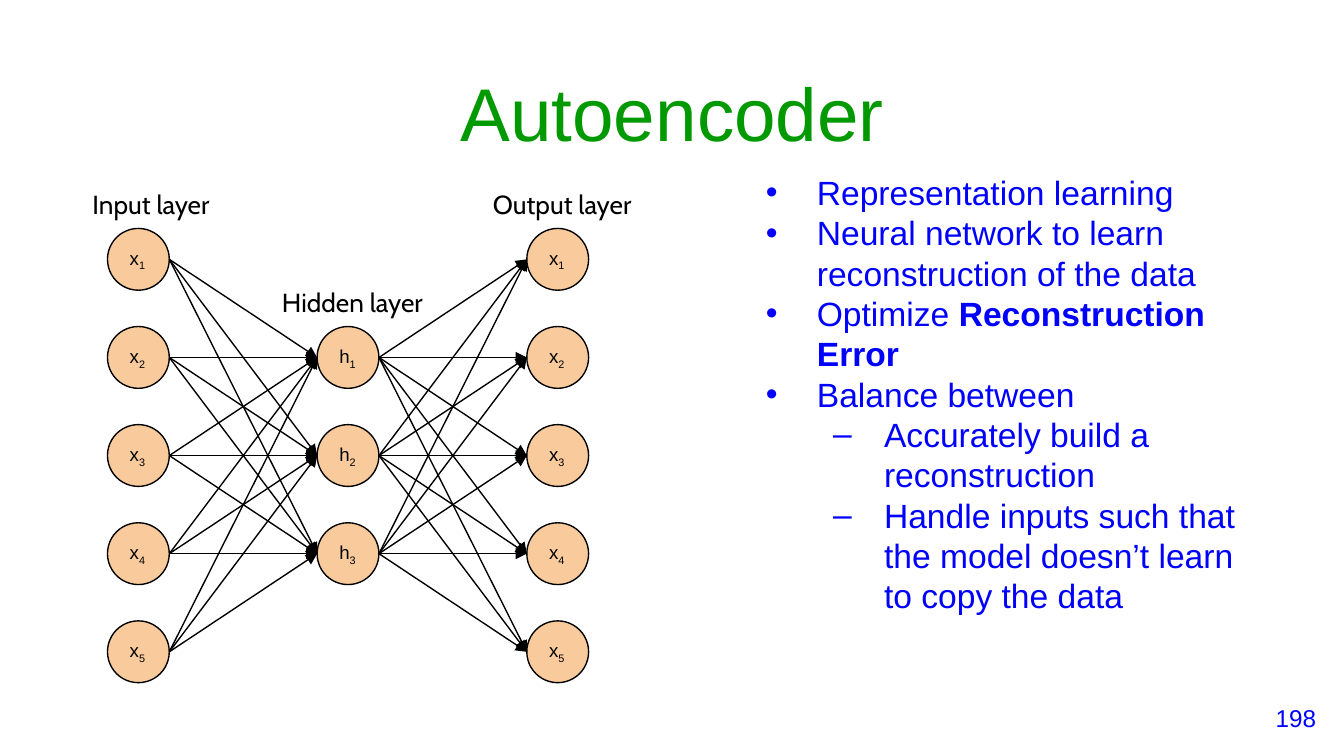
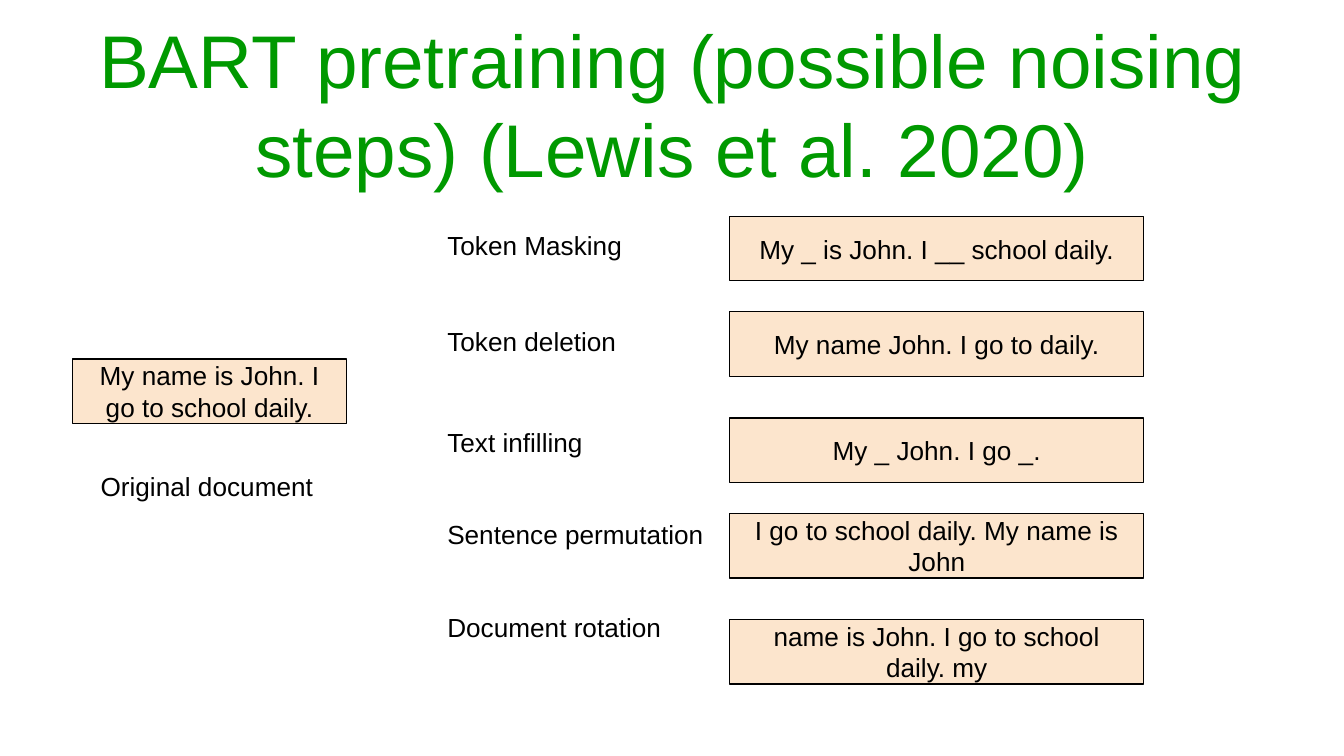
"""Build two slides on the autoencoder and on BART noising steps."""
from dataclasses import dataclass
from itertools import product

from lxml import etree
from pptx import Presentation
from pptx.dml.color import RGBColor
from pptx.enum.shapes import MSO_CONNECTOR, MSO_SHAPE
from pptx.enum.text import MSO_ANCHOR, PP_ALIGN
from pptx.oxml.ns import qn
from pptx.util import Inches, Pt

GREEN = RGBColor(0x00, 0x99, 0x00)
BLUE = RGBColor(0x00, 0x00, 0xFF)
BLACK = RGBColor(0x00, 0x00, 0x00)
WHITE = RGBColor(0xFF, 0xFF, 0xFF)
NODE_FILL = RGBColor(0xF9, 0xCB, 0x9C)
BOX_FILL = RGBColor(0xFC, 0xE5, 0xCD)

LEFT, CENTER, RIGHT = PP_ALIGN.LEFT, PP_ALIGN.CENTER, PP_ALIGN.RIGHT
TOP, MIDDLE = MSO_ANCHOR.TOP, MSO_ANCHOR.MIDDLE
OVAL, RECTANGLE = MSO_SHAPE.OVAL, MSO_SHAPE.RECTANGLE
STRAIGHT = MSO_CONNECTOR.STRAIGHT

SLIDE_WIDTH = Inches(10)
SLIDE_HEIGHT = SLIDE_WIDTH * 9 // 16
MARGIN = 0.1
LINE_WIDTH = Pt(0.75)
NODE_SIZE = 0.46
NODE_PITCH = 0.73
FIRST_NODE_TOP = 1.7
BOX_LEFT, BOX_WIDTH, BOX_HEIGHT = 5.43, 3.08, 0.48
LABEL_LEFT, LABEL_HEIGHT = 3.23, 0.4


@dataclass(frozen=True)
class Style:
    """Look of a text."""

    size: float
    color: RGBColor = BLACK
    font: str = "Arial"
    align: PP_ALIGN = LEFT


@dataclass(frozen=True)
class Area:
    """Place of an element in inches."""

    left: float
    top: float
    width: float
    height: float

    def lengths(self):
        """Return left, top, width and height as lengths."""
        return tuple(Inches(v) for v in (self.left, self.top, self.width, self.height))


@dataclass(frozen=True)
class Layer:
    """Column of network nodes."""

    letter: str
    left: float
    first_row: int
    count: int
    caption: str
    caption_area: Area

    def node_top(self, index: int) -> float:
        """Return the top of a node."""
        return FIRST_NODE_TOP + (self.first_row + index) * NODE_PITCH


@dataclass(frozen=True)
class Bullet:
    """Item of the bullet list."""

    text: str
    bold_text: str = ""
    level: int = 0


@dataclass(frozen=True)
class NoisingStep:
    """Name of a noising step and its result."""

    name: str
    result: str
    label_top: float
    box_top: float
    label_width: float = 2.13


TITLE = Style(40, GREEN, align=CENTER)
BODY = Style(18, BLUE)
NODE = Style(10)
CAPTION = Style(14, font="Cabin")
LABEL = Style(14)
BOX = Style(14, align=CENTER)
PAGE_NUMBER = Style(13, BLUE, align=RIGHT)

LAYERS = (
    Layer("x", 0.8, 0, 5, "Input layer", Area(0.59, 1.3, 1.1, 0.32)),
    Layer("h", 2.36, 1, 3, "Hidden layer", Area(2, 2.03, 1.3, 0.32)),
    Layer("x", 3.92, 0, 5, "Output layer", Area(3.57, 1.3, 1.3, 0.32)),
)
BULLETS = (
    Bullet("Representation learning"),
    Bullet("Neural network to learn reconstruction of the data"),
    Bullet("Optimize ", "Reconstruction Error"),
    Bullet("Balance between"),
    Bullet("Accurately build a reconstruction", level=1),
    Bullet("Handle inputs such that the model doesn’t learn to copy the data", level=1),
)
STEPS = (
    NoisingStep("Token Masking", "My _ is John. I __ school daily.", 1.61, 1.61, 1.66),
    NoisingStep("Token deletion", "My name John. I go to daily.", 2.32, 2.32),
    NoisingStep("Text infilling", "My _ John. I go _.", 3.07, 3.11),
    NoisingStep("Sentence permutation", "I go to school daily. My name is John", 3.76, 3.82),
    NoisingStep("Document rotation", "name is John. I go to school daily. my", 4.45, 4.61),
)


def add_slide(presentation):
    """Add a blank white slide."""
    slide = presentation.slides.add_slide(presentation.slide_layouts[6])
    slide.background.fill.solid()
    slide.background.fill.fore_color.rgb = WHITE
    return slide


def add_run(paragraph, text: str, style: Style):
    """Add a styled run."""
    run = paragraph.add_run()
    run.text = text
    run.font.name = style.font
    run.font.size = Pt(style.size)
    run.font.color.rgb = style.color
    return run


def prepare_frame(shape, anchor: MSO_ANCHOR, vertical_margin: float = MARGIN):
    """Set margins, wrapping and anchor of a text frame."""
    frame = shape.text_frame
    frame.word_wrap = True
    frame.vertical_anchor = anchor
    frame.margin_left = frame.margin_right = Inches(MARGIN)
    frame.margin_top = frame.margin_bottom = Inches(vertical_margin)
    return frame


def add_text(slide, area: Area, text: str, style: Style, anchor: MSO_ANCHOR = TOP,
             vertical_margin: float = MARGIN) -> None:
    """Add a text box with one paragraph."""
    textbox = slide.shapes.add_textbox(*area.lengths())
    paragraph = prepare_frame(textbox, anchor, vertical_margin).paragraphs[0]
    paragraph.alignment = style.align
    add_run(paragraph, text, style)


def add_filled_shape(slide, kind: MSO_SHAPE, area: Area, color: RGBColor, text: str, style: Style):
    """Add an outlined shape with text and return its text frame."""
    shape = slide.shapes.add_shape(kind, *area.lengths())
    shape.shadow.inherit = False
    shape.fill.solid()
    shape.fill.fore_color.rgb = color
    shape.line.color.rgb = BLACK
    shape.line.width = LINE_WIDTH
    frame = prepare_frame(shape, MIDDLE)
    frame.paragraphs[0].alignment = style.align
    add_run(frame.paragraphs[0], text, style)
    return frame


def add_node(slide, layer: Layer, index: int) -> None:
    """Add a network node with its subscript."""
    area = Area(layer.left, layer.node_top(index), NODE_SIZE, NODE_SIZE)
    frame = add_filled_shape(slide, OVAL, area, NODE_FILL, layer.letter, NODE)
    frame.word_wrap = False
    subscript = add_run(frame.paragraphs[0], str(index + 1), NODE)
    subscript.font._element.set("baseline", "-25000")


def add_arrow(slide, source: Layer, source_index: int, target: Layer, target_index: int) -> None:
    """Add an arrow between nodes of adjacent layers."""
    radius = NODE_SIZE / 2
    connector = slide.shapes.add_connector(
        STRAIGHT,
        Inches(source.left + NODE_SIZE), Inches(source.node_top(source_index) + radius),
        Inches(target.left), Inches(target.node_top(target_index) + radius),
    )
    connector.line.color.rgb = BLACK
    connector.line.width = LINE_WIDTH
    etree.SubElement(connector.line._get_or_add_ln(), qn("a:tailEnd"), type="triangle")
    etree.SubElement(connector._element.spPr, qn("a:effectLst"))


def add_bullets(slide, area: Area) -> None:
    """Add the bullet list."""
    frame = prepare_frame(slide.shapes.add_textbox(*area.lengths()), TOP, 0.05)
    for index, bullet in enumerate(BULLETS):
        paragraph = frame.add_paragraph() if index else frame.paragraphs[0]
        paragraph.level = bullet.level
        properties = paragraph._p.get_or_add_pPr()
        properties.set("marL", str(Inches(0.5 * (bullet.level + 1))))
        properties.set("indent", str(Inches(-0.38)))
        color = etree.SubElement(properties, qn("a:buClr"))
        etree.SubElement(color, qn("a:srgbClr"), val=str(BLUE))
        etree.SubElement(properties, qn("a:buFont"), typeface=BODY.font)
        etree.SubElement(properties, qn("a:buChar"), char="•–"[bullet.level])
        add_run(paragraph, bullet.text, BODY)
        if bullet.bold_text:
            add_run(paragraph, bullet.bold_text, BODY).font.bold = True


def build_autoencoder(presentation) -> None:
    """Build the autoencoder slide."""
    slide = add_slide(presentation)
    add_text(slide, Area(0.34, 0.49, 9.32, 0.68), "Autoencoder", TITLE, MIDDLE, 0.05)
    add_bullets(slide, Area(5.48, 1.23, 3.96, 3.62))
    for layer in LAYERS:
        for index in range(layer.count):
            add_node(slide, layer, index)
    for source, target in zip(LAYERS, LAYERS[1:]):
        for source_index, target_index in product(range(source.count), range(target.count)):
            add_arrow(slide, source, source_index, target, target_index)
    for layer in LAYERS:
        add_text(slide, layer.caption_area, layer.caption, CAPTION)
    add_text(slide, Area(9.29, 5.13, 0.6, 0.43), "198", PAGE_NUMBER)


def build_noising_steps(presentation) -> None:
    """Build the slide on noising steps."""
    slide = add_slide(presentation)
    title = "BART pretraining (possible noising steps) (Lewis et al. 2020)"
    add_text(slide, Area(0.34, 0, 9.32, 1.22), title, TITLE)
    for step in STEPS:
        box_area = Area(BOX_LEFT, step.box_top, BOX_WIDTH, BOX_HEIGHT)
        add_filled_shape(slide, RECTANGLE, box_area, BOX_FILL, step.result, BOX)
        label_area = Area(LABEL_LEFT, step.label_top, step.label_width, LABEL_HEIGHT)
        add_text(slide, label_area, step.name, LABEL)
    document_area = Area(0.54, 2.67, 2.04, BOX_HEIGHT)
    document_text = "My name is John. I go to school daily."
    add_filled_shape(slide, RECTANGLE, document_area, BOX_FILL, document_text, BOX)
    add_text(slide, Area(0.65, 3.4, 1.81, LABEL_HEIGHT), "Original document", LABEL)


def main() -> None:
    """Build and save the presentation."""
    presentation = Presentation()
    presentation.slide_width = SLIDE_WIDTH
    presentation.slide_height = SLIDE_HEIGHT
    build_autoencoder(presentation)
    build_noising_steps(presentation)
    presentation.save("out.pptx")


if __name__ == "__main__":
    main()
